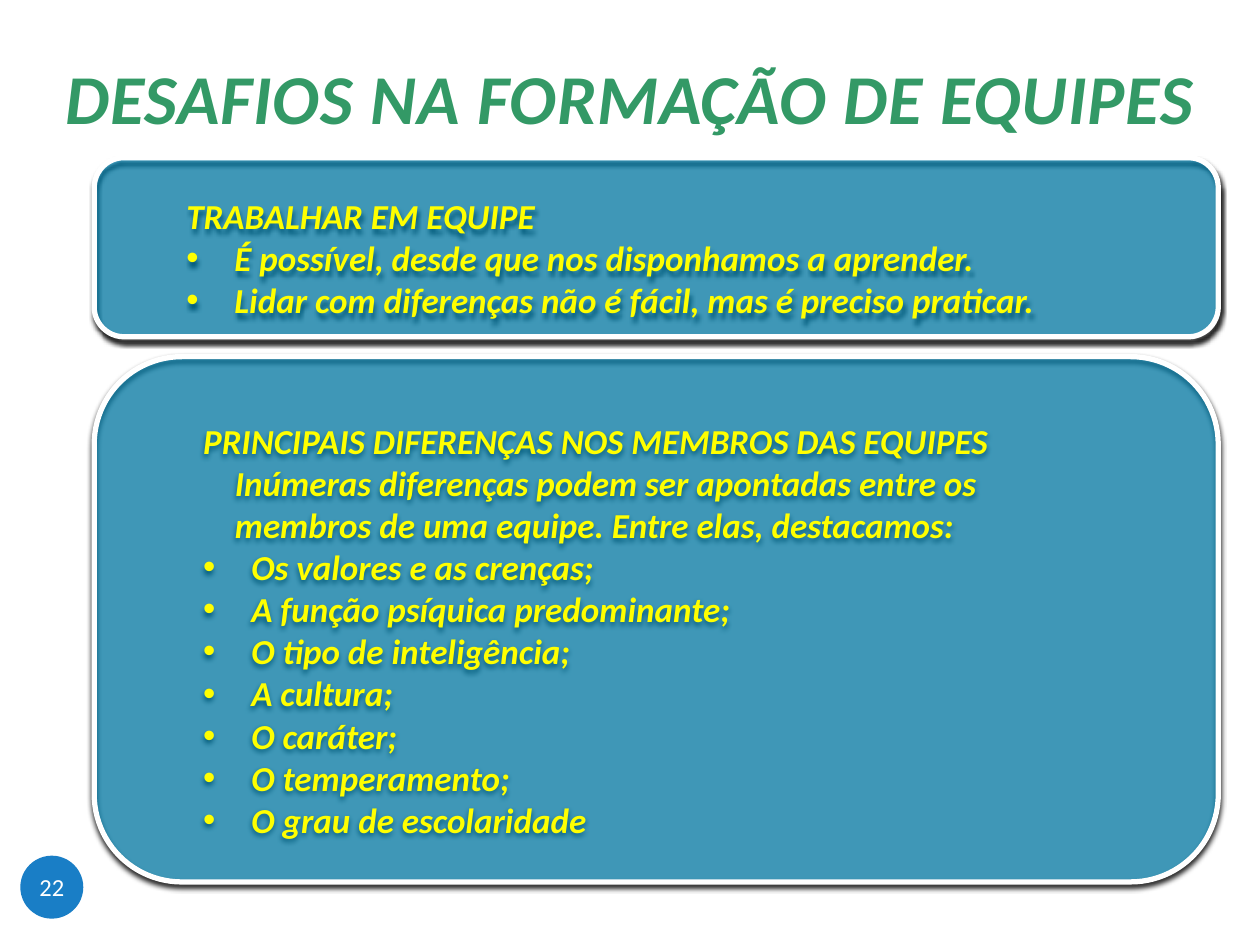
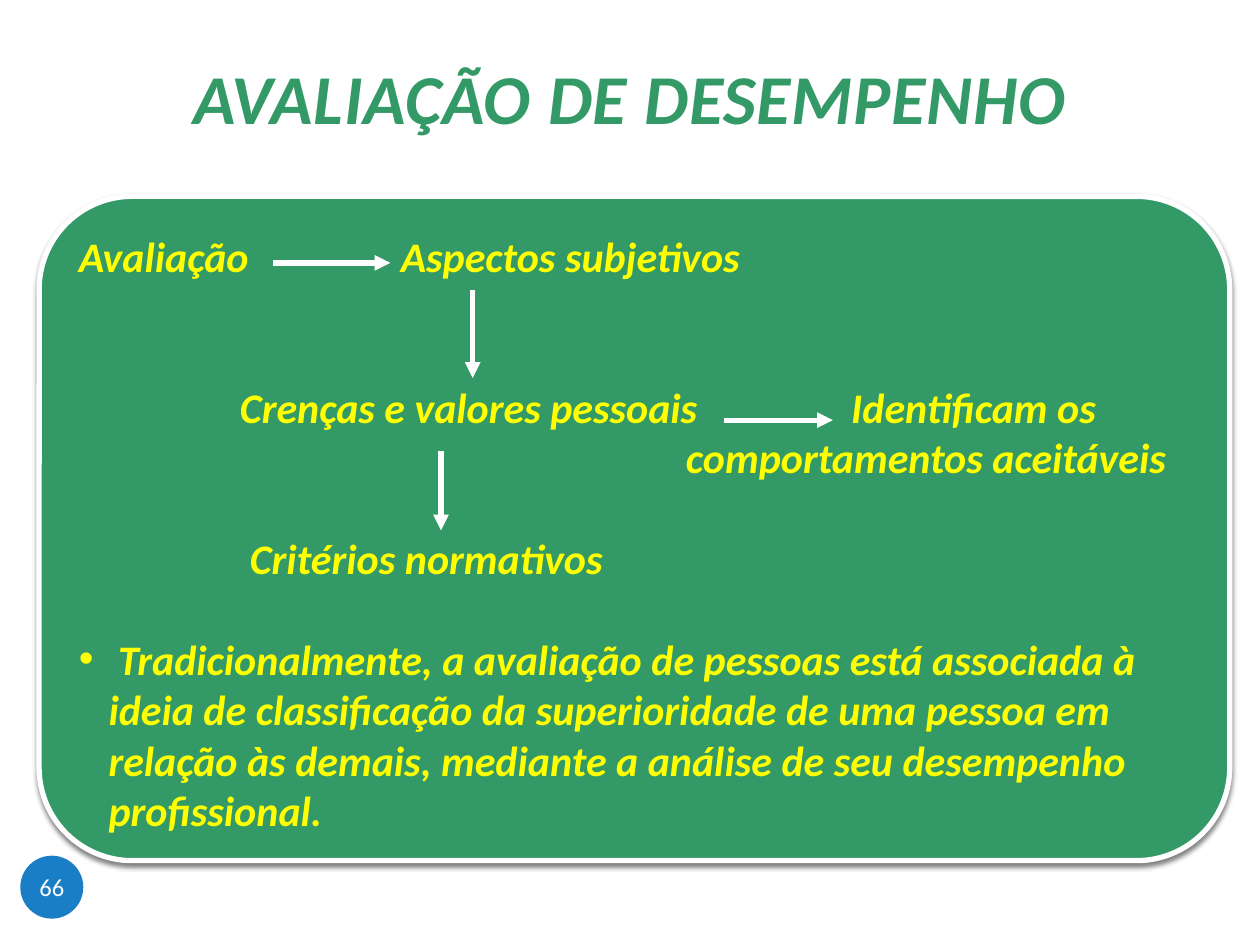
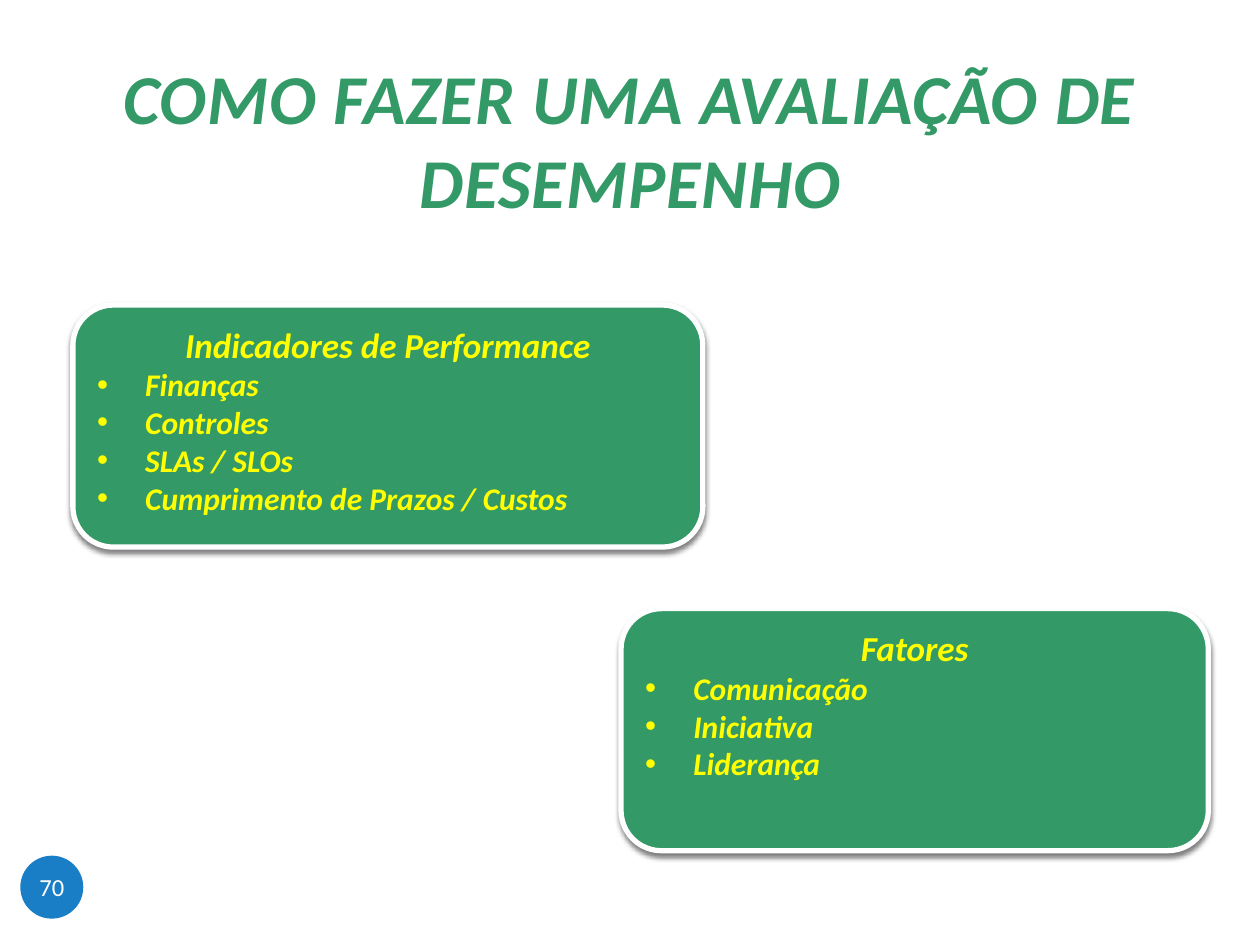
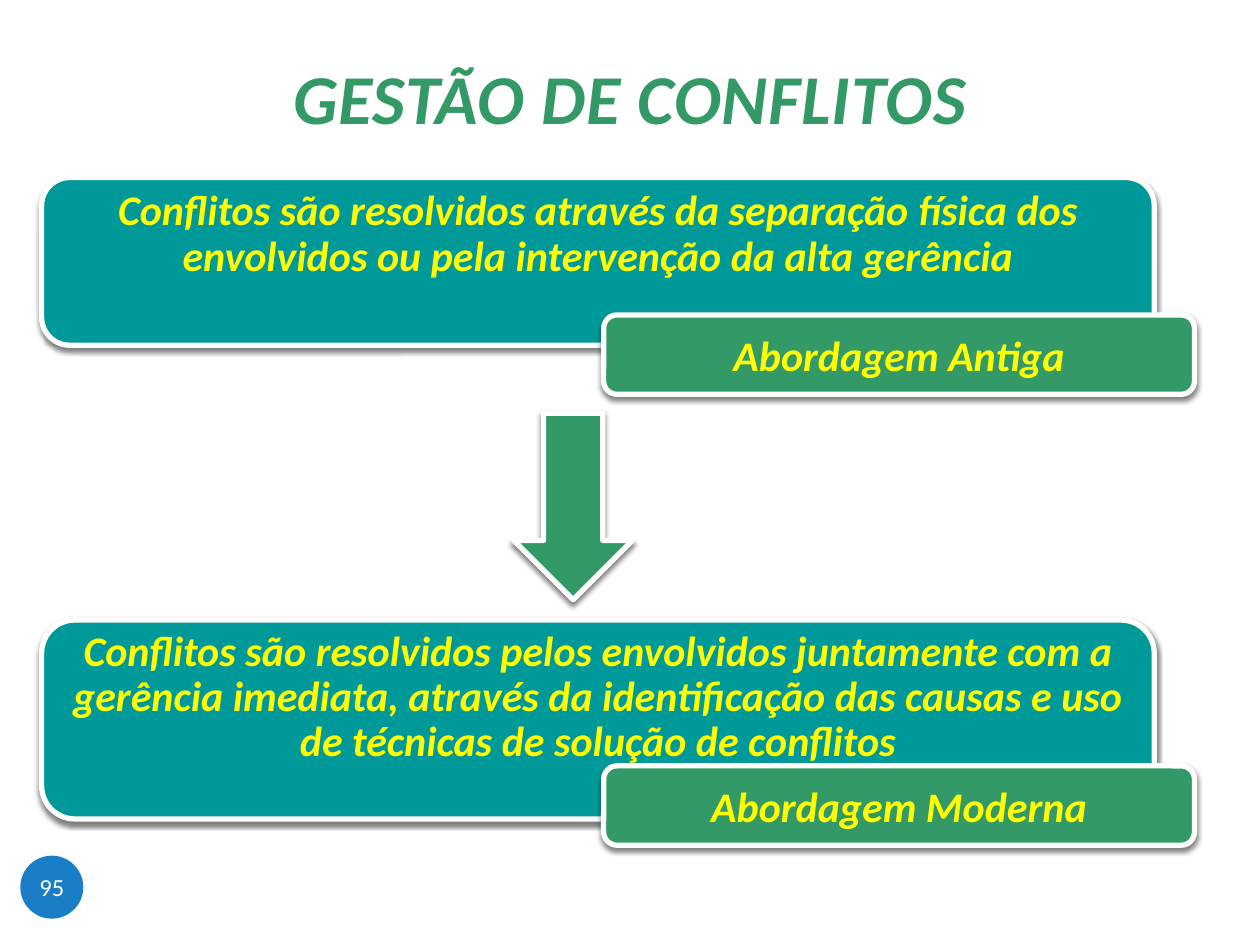
from lxml.etree import SubElement as Sub
from pptx import Presentation
from pptx.dml.color import RGBColor
from pptx.enum.shapes import MSO_CONNECTOR as Link, MSO_SHAPE as Form
from pptx.enum.text import MSO_ANCHOR as Anchor, MSO_AUTO_SIZE as Fit, PP_ALIGN as Align
from pptx.oxml.ns import qn
from pptx.util import Cm, Pt

FONT = "Calibri"
GREEN, TEAL, SKY, BLUE = "339966", "009999", "00B0F0", "0070C0"
YELLOW, WHITE, BLACK = "FFFF00", "FFFFFF", "000000"
SIDES = ("margin_left", "margin_top", "margin_right", "margin_bottom")
INSET = (0.25, 0.13, 0.25, 0.13)
WIDE = (1.68, 0.91, 1.68, 0.48)
NONE = (0, 0, 0, 0)
TITLE = (0, 0.64, 25.4, 2.74)
TALL = (0, 1.27, 25.4, 3.18)
BADGE = (0.41, 17.25, 1.27, 1.27)


def item(text, **opts):
    return text, {"hang": 0.97, "bullet": True, **opts}


def line(text, **opts):
    return text, opts


TEAM = [
    ((1.9, 3.18, 22.66, 3.61), [
        line("TRABALHAR EM EQUIPE"),
        item("É possível, desde que nos disponhamos a aprender."),
        item("Lidar com diferenças não é fácil, mas é preciso praticar."),
    ]),
    ((1.9, 7.19, 22.66, 10.59), [
        line("PRINCIPAIS DIFERENÇAS NOS MEMBROS DAS EQUIPES"),
        line("Inúmeras diferenças podem ser apontadas entre os membros de uma equipe. "
             "Entre elas, destacamos:", left=0.64),
        item("Os valores e as crenças;"),
        item("A função psíquica predominante;"),
        item("O tipo de inteligência;"),
        item("A cultura;"),
        item("O caráter;"),
        item("O temperamento;"),
        item("O grau de escolaridade"),
    ]),
]

REVIEW = [
    line("Avaliação"),
    line("Crenças e valores pessoais", left=3.25, before=57.6),
    line("comportamentos aceitáveis", left=12.24),
    line("Critérios normativos", left=3.45, before=28.8),
    item(" Tradicionalmente, a avaliação de pessoas está associada à ideia de classificação "
         "da superioridade de uma pessoa em relação às demais, mediante a análise de seu "
         "desempenho profissional.", hang=0.6, before=28.8),
]
LABELS = [
    ((8.08, 4.65, 8, 1.02), "Aspectos subjetivos"),
    ((17.16, 7.7, 6, 1.02), "Identificam os"),
]
ARROWS = [
    (5.51, 5.3, 7.87, 5.3),
    (9.53, 5.84, 9.53, 7.62),
    (14.6, 8.47, 16.79, 8.47),
    (8.89, 9.09, 8.89, 10.69),
]

GROUPS = [
    ((12.52, 12.27, 11.84, 4.88), "Fatores", ["Comunicação", "Iniciativa", "Liderança"]),
    ((1.47, 6.15, 12.7, 4.88), "Indicadores de Performance",
     ["Finanças", "Controles", "SLAs / SLOs", "Cumprimento de Prazos / Custos"]),
]

VIEWS = [
    (3.58, 3.38, 0.08, "Conflitos são resolvidos através da separação física dos envolvidos "
     "ou pela intervenção da alta gerência", 6.35, "Abordagem Antiga"),
    (12.5, 4.01, 0, "Conflitos são resolvidos pelos envolvidos juntamente com a gerência "
     "imediata, através da identificação das causas e uso de técnicas de solução de conflitos",
     15.44, "Abordagem Moderna"),
]
DOWN = (10.36, 8.33, 2.39, 3.76)


def color(code):
    return RGBColor.from_string(code)


def cms(vals):
    return [Cm(v) for v in vals]


def style(para, size, tint, bold=True):
    for run in para.runs:
        font = run.font
        font.name, font.size = FONT, Pt(size)
        font.bold = font.italic = bold
        font.color.rgb = color(tint)


def frame(shape, inset, anchor):
    body = shape.text_frame
    body.auto_size, body.word_wrap = Fit.NONE, True
    body.vertical_anchor = anchor
    for side, val in zip(SIDES, inset):
        setattr(body, side, Cm(val))
    return body


def fade(shape, pct):
    tint = shape._element.spPr.find(qn("a:solidFill"))[0]
    Sub(tint, qn("a:alpha"), val=str(pct * 1000))


def shade(shape):
    fx = shape._element.spPr.find(qn("a:effectLst"))
    drop = Sub(fx, qn("a:outerShdw"), blurRad=str(Pt(3)), dist=str(Pt(2)),
               dir="5400000", algn="ctr", rotWithShape="0")
    tint = Sub(drop, qn("a:srgbClr"), val=BLACK)
    Sub(tint, qn("a:alpha"), val="50000")


def solid(slide, form, area, fill):
    shape = slide.shapes.add_shape(form, *cms(area))
    shape.shadow.inherit = False
    shape.fill.solid()
    shape.fill.fore_color.rgb = color(fill)
    return shape


def panel(slide, area, fill, form=Form.ROUNDED_RECTANGLE):
    shape = solid(slide, form, area, fill)
    shape.line.color.rgb = color(WHITE)
    shape.line.width = Pt(3)
    shade(shape)
    return shape


def write(shape, lines, size, inset=INSET, anchor=Anchor.TOP):
    body = frame(shape, inset, anchor)
    for num, (text, opts) in enumerate(lines):
        para = body.add_paragraph() if num else body.paragraphs[0]
        para.text = text
        hang = opts.get("hang", 0)
        props = para._p.get_or_add_pPr()
        props.set("marL", str(Cm(opts.get("left", hang))))
        props.set("indent", str(-Cm(hang)))
        if opts.get("bullet"):
            Sub(props, qn("a:buFont"), typeface="Arial")
            Sub(props, qn("a:buChar"), char="•")
        para.alignment = opts.get("align", Align.LEFT)
        para.space_before = Pt(opts.get("before", 0))
        if "lead" in opts:
            para.line_spacing = opts["lead"]
        style(para, opts.get("size", size), YELLOW)


def arrow(slide, ends):
    link = slide.shapes.add_connector(Link.STRAIGHT, *cms(ends))
    link.line.color.rgb = color(WHITE)
    link.line.width = Pt(3)
    Sub(link.line._get_or_add_ln(), qn("a:tailEnd"), type="triangle")
    Sub(link._element.spPr, qn("a:effectLst"))


def start(deck, text, page, area=TITLE):
    slide = deck.slides.add_slide(deck.slide_layouts[5])
    title = slide.shapes.title
    title.left, title.top, title.width, title.height = cms(area)
    body = frame(title, (0.25, 0.13, 0.25, 0.25), Anchor.MIDDLE)
    body.text = text
    para = body.paragraphs[0]
    para.alignment = Align.CENTER
    style(para, 40, GREEN)
    para.runs[0]._r.get_or_add_rPr().set("spc", "50")

    badge = solid(slide, Form.OVAL, BADGE, BLUE)
    fade(badge, 90)
    badge.line.fill.background()
    body = frame(badge, NONE, Anchor.MIDDLE)
    body.word_wrap = False
    body.text = str(page)
    body.paragraphs[0].alignment = Align.CENTER
    style(body.paragraphs[0], 14, WHITE, False)
    return slide


def main():
    deck = Presentation()
    deck.slide_width, deck.slide_height = Cm(25.4), Cm(19.05)

    slide = start(deck, "DESAFIOS NA FORMAÇÃO DE EQUIPES", 22)
    for area, lines in TEAM:
        box = panel(slide, area, SKY)
        fade(box, 50)
        write(box, lines, 20, WIDE, Anchor.MIDDLE)

    slide = start(deck, "AVALIAÇÃO DE DESEMPENHO", 66)
    box = panel(slide, (0.79, 3.96, 24, 13.39), GREEN)
    box.adjustments[0] = 0.14
    write(box, REVIEW, 24)
    for area, text in LABELS:
        write(slide.shapes.add_textbox(*cms(area)), [line(text)], 24, NONE)
    for ends in ARROWS:
        arrow(slide, ends)

    slide = start(deck, "COMO FAZER UMA AVALIAÇÃO DE DESEMPENHO", 70, TALL)
    for area, head, names in GROUPS:
        lines = [line(head, align=Align.CENTER, size=20)] + [item(name) for name in names]
        write(panel(slide, area, GREEN), lines, 18)

    slide = start(deck, "GESTÃO DE CONFLITOS", 95)
    for num, (top, high, pad, text, low, tag) in enumerate(VIEWS):
        if num:
            panel(slide, DOWN, GREEN, Form.DOWN_ARROW)
        box = panel(slide, (0.84, top, 22.43, high), TEAL)
        write(box, [line(text, align=Align.CENTER, lead=0.9)], 24, (0.25, pad, 0.25, 0.13))
        box = panel(slide, (12.17, low, 11.91, 1.6), GREEN)
        write(box, [line(tag, align=Align.CENTER)], 24, anchor=Anchor.MIDDLE)

    deck.save("out.pptx")


if __name__ == "__main__":
    main()
